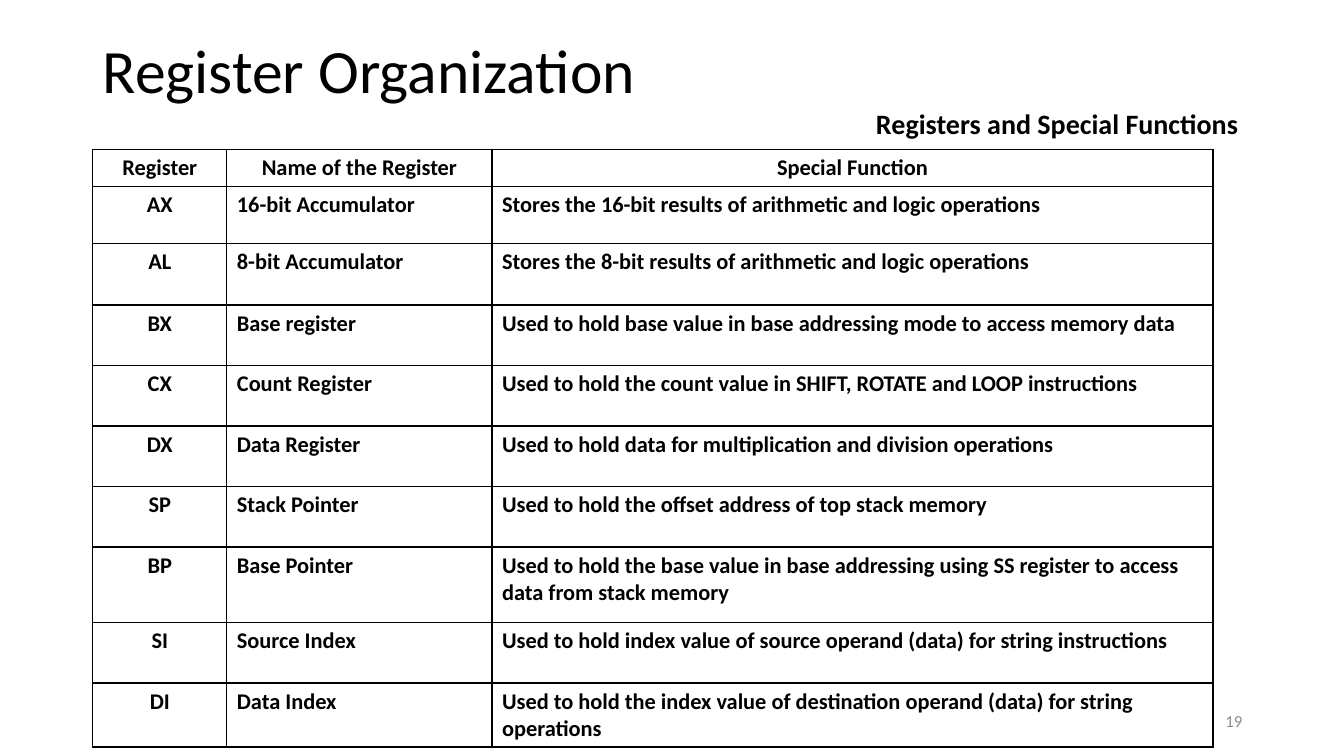
"""Build the Register Organization slide with its table of special functions."""
import pptx
import pptx.util
import pptx.dml.color
import pptx.enum.text
import pptx.oxml
import pptx.oxml.ns

Inches = pptx.util.Inches
Pt = pptx.util.Pt
ALIGN = pptx.enum.text.PP_ALIGN
MIDDLE = pptx.enum.text.MSO_ANCHOR.MIDDLE
COLORS = {"text": "000000", "number": "8C8C8C", "border": "000000"}


def style_text(frame, size, color="text", bold=False, align=ALIGN.LEFT):
    for paragraph in frame.paragraphs:
        paragraph.alignment = align
        for run in paragraph.runs:
            run.font.name = "Calibri"
            run.font.size = Pt(size)
            run.font.bold = bold
            run.font.color.rgb = pptx.dml.color.RGBColor.from_string(COLORS[color])


def add_borders(cell):
    properties = cell._tc.get_or_add_tcPr()
    for side in ("lnL", "lnR", "lnT", "lnB"):
        properties.append(pptx.oxml.parse_xml(
            f'<a:{side} {pptx.oxml.ns.nsdecls("a")} w="{Pt(1)}"><a:solidFill>'
            f'<a:srgbClr val="{COLORS["border"]}"/></a:solidFill></a:{side}>'))


presentation = pptx.Presentation()
presentation.slide_width = Inches(13.33)
presentation.slide_height = Inches(7.5)
slide = presentation.slides.add_slide(presentation.slide_layouts[5])

page_number = slide.shapes.add_textbox(Inches(9.42), Inches(6.95), Inches(3), Inches(0.4))
page_number.text_frame.text = "19"
page_number.text_frame.word_wrap = True
page_number.text_frame.vertical_anchor = MIDDLE
style_text(page_number.text_frame, 12, "number", align=ALIGN.RIGHT)

registers = [
    ("Register", "Name of the Register", "Special Function"),
    ("AX", "16-bit Accumulator", "Stores the 16-bit results of arithmetic and logic operations"),
    ("AL", "8-bit Accumulator", "Stores the 8-bit results of arithmetic and logic operations"),
    ("BX", "Base register",
     "Used to hold base value in base addressing mode to access memory data"),
    ("CX", "Count Register",
     "Used to hold the count value in SHIFT, ROTATE and LOOP instructions"),
    ("DX", "Data Register", "Used to hold data for multiplication and division operations"),
    ("SP", "Stack Pointer", "Used to hold the offset address of top stack memory"),
    ("BP", "Base Pointer",
     "Used to hold the base value in base addressing using SS register to access "
     "data from stack memory"),
    ("SI", "Source Index",
     "Used to hold index value of source operand (data) for string instructions"),
    ("DI", "Data Index",
     "Used to hold the index value of destination operand (data) for string operations"),
]
column_widths = [1.33, 2.63, 7.15]
row_heights = [0.35, 0.57, 0.61, 0.6, 0.6, 0.6, 0.6, 0.75, 0.6, 0.61]
register_table = slide.shapes.add_table(
    len(registers), len(column_widths), Inches(0.92), Inches(1.48),
    Inches(sum(column_widths)), Inches(sum(row_heights))).table
register_table.horz_banding = False
for column, width in zip(register_table.columns, column_widths):
    column.width = Inches(width)
for row_index, (row, height) in enumerate(zip(register_table.rows, row_heights)):
    row.height = Inches(height)
    for column_index, cell in enumerate(row.cells):
        cell.text_frame.text = registers[row_index][column_index]
        centred = row_index == 0 or column_index == 0
        style_text(cell.text_frame, 16, bold=True,
                   align=ALIGN.CENTER if centred else ALIGN.LEFT)
        add_borders(cell)
        cell.fill.background()

subtitle = slide.shapes.add_textbox(Inches(8.59), Inches(1.01), Inches(3.83), Inches(0.44))
subtitle.text_frame.text = "Registers and Special Functions"
subtitle.text_frame.word_wrap = False
subtitle.text_frame.auto_size = pptx.enum.text.MSO_AUTO_SIZE.SHAPE_TO_FIT_TEXT
style_text(subtitle.text_frame, 20, bold=True)

title = slide.shapes.title
title.left, title.top = Inches(0.92), Inches(0)
title.width, title.height = Inches(11.5), Inches(1.45)
title.text_frame.text = "Register Organization"
title.text_frame.vertical_anchor = MIDDLE
title.text_frame.paragraphs[0].line_spacing = 0.9
style_text(title.text_frame, 44)

presentation.save("out.pptx")
